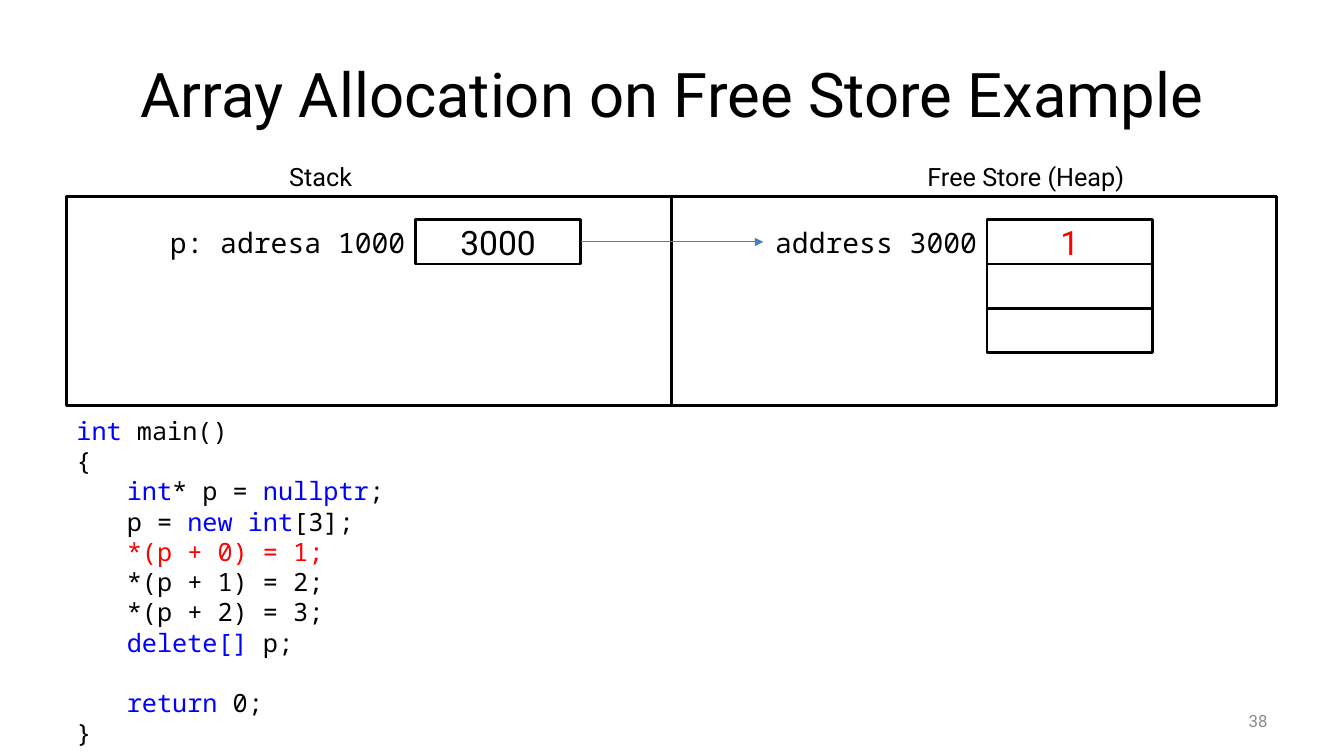
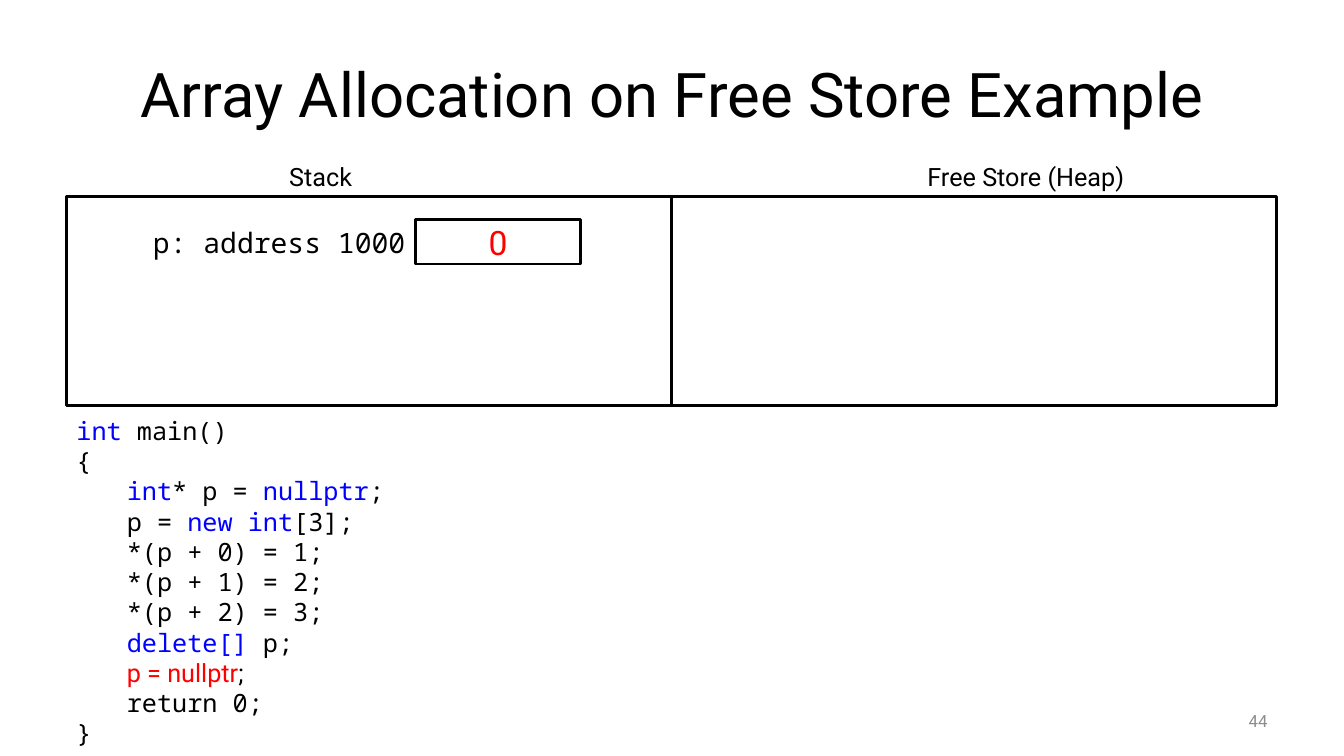
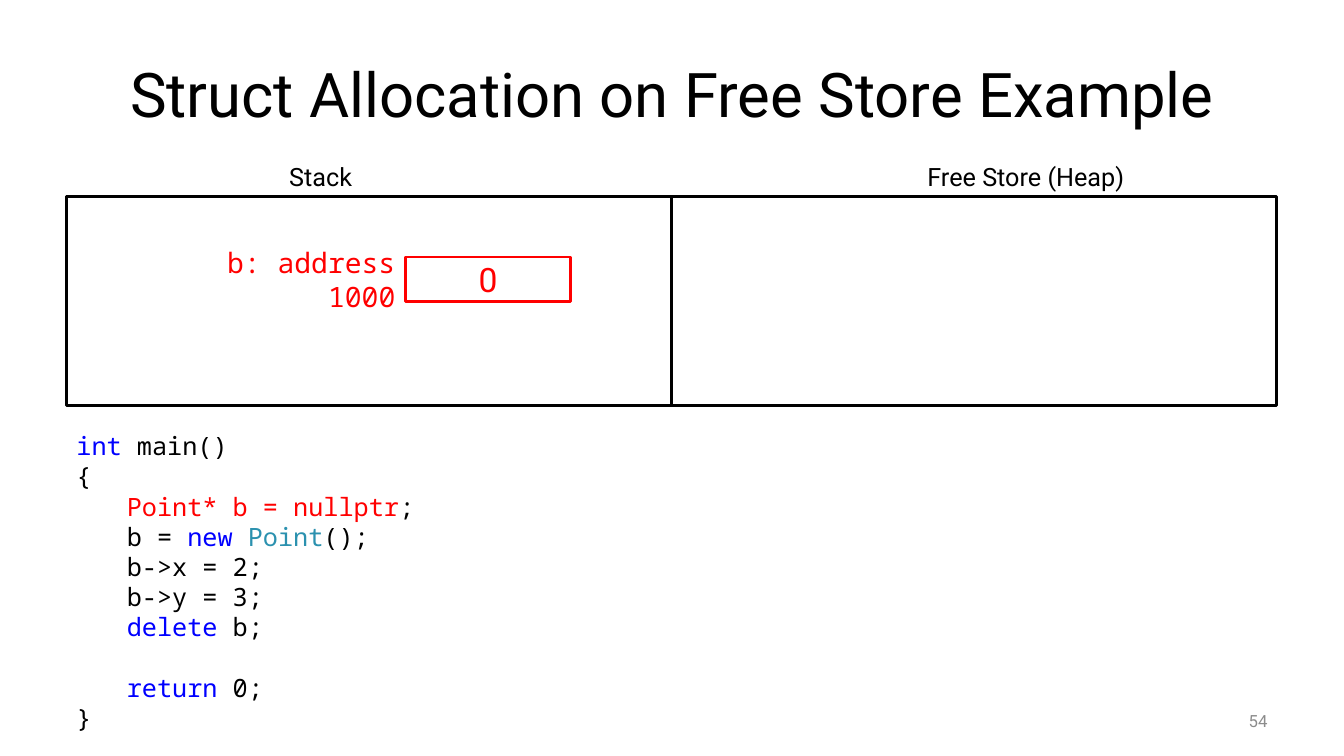
from dataclasses import dataclass
from typing import NamedTuple, Optional

import pptx
import pptx.dml.color
import pptx.enum.dml
import pptx.enum.shapes
import pptx.enum.text
import pptx.oxml.ns
import pptx.slide
import pptx.text.text
import pptx.util
from lxml import etree

Inches = pptx.util.Inches
RGBColor = pptx.dml.color.RGBColor
ALIGN = pptx.enum.text.PP_ALIGN
ANCHOR = pptx.enum.text.MSO_ANCHOR

# Colours and fonts
BLACK = RGBColor(0x00, 0x00, 0x00)
WHITE = RGBColor(0xFF, 0xFF, 0xFF)
GRAY = RGBColor(0x8C, 0x8C, 0x8C)
RED = RGBColor(0xFF, 0x00, 0x00)
KEYWORD = RGBColor(0x00, 0x00, 0xFF)
TYPE = RGBColor(0x2B, 0x91, 0xAF)
ARROW = RGBColor(0x4B, 0x7E, 0xBC)
SANS = "Roboto"
MONO = "Noto Sans Mono"

# Memory diagram grid, in inches
LEFT, TOP, PANEL_W, PANEL_H = 0.66, 1.95, 6, 2.07
CELL_W, CELL_H = 1.64, 0.44
CODE_LINE = 21.6  # points


class Box(NamedTuple):
    x: float
    y: float
    w: float
    h: float


class Run(NamedTuple):
    text: str
    color: RGBColor = BLACK
    font: Optional[str] = None


@dataclass
class Line:
    runs: list[Run]
    indent: float = 0.5
    blank_before: bool = False


@dataclass
class Variable:
    """A labelled memory block: address on the left, cells stacked on the right."""
    label: str
    values: list[str]
    x: float
    y: float
    label_w: float
    value_color: RGBColor = BLACK
    color: RGBColor = BLACK


@dataclass
class MemorySlide:
    title: str
    number: int
    variables: list[Variable]
    code: list[Line]
    code_y: float


def write(tf: pptx.text.text.TextFrame, text: str | list[Line], *,
          size: float = 18, font: str = SANS, color: RGBColor = BLACK,
          align: ALIGN = ALIGN.LEFT, anchor: ANCHOR = ANCHOR.TOP) -> None:
    tf.word_wrap = True
    tf.vertical_anchor = anchor
    lines = [Line([Run(text, color)], 0)] if isinstance(text, str) else text
    for i, line in enumerate(lines):
        p = tf.paragraphs[0] if i == 0 else tf.add_paragraph()
        p.alignment = align
        if line.indent:
            p.level = 1
            pPr = p._p.get_or_add_pPr()
            pPr.set("marL", str(Inches(line.indent)))
            pPr.set("indent", "0")
        if line.blank_before:
            p.space_before = pptx.util.Pt(CODE_LINE)
        for run in line.runs:
            r = p.add_run()
            r.text = run.text
            r.font.size = pptx.util.Pt(size)
            r.font.name = run.font or font
            r.font.color.rgb = run.color


def add_text(s: pptx.slide.Slide, box: Box, text: str | list[Line], **fmt):
    sp = s.shapes.add_textbox(*map(Inches, box))
    write(sp.text_frame, text, **fmt)
    return sp


def add_rect(s: pptx.slide.Slide, box: Box, line: RGBColor = BLACK):
    sp = s.shapes.add_shape(pptx.enum.shapes.MSO_SHAPE.RECTANGLE, *map(Inches, box))
    sp.shadow.inherit = False
    sp.fill.solid()
    sp.fill.fore_color.rgb = WHITE
    sp.line.color.rgb = line
    sp.line.width = pptx.util.Pt(2)
    return sp


def add_arrow(s: pptx.slide.Slide, start, end) -> None:
    """Arrow from the right side of start to the left side of end."""
    c = s.shapes.add_connector(pptx.enum.shapes.MSO_CONNECTOR.STRAIGHT, 0, 0, 0, 0)
    c.begin_connect(start, 3)
    c.end_connect(end, 1)
    c.line.color.rgb = ARROW
    c.line.width = pptx.util.Pt(0.75)
    qn = pptx.oxml.ns.qn
    etree.SubElement(c.line._get_or_add_ln(), qn("a:tailEnd"), type="triangle")
    etree.SubElement(c._element.spPr, qn("a:effectLst"))


def add_variable(s: pptx.slide.Slide, v: Variable):
    """Draw the cells and label; return the first cell and the label."""
    cells = []
    for i, value in enumerate(v.values):
        cell = add_rect(s, Box(v.x, v.y + i * CELL_H, CELL_W, CELL_H), v.color)
        if value:
            write(cell.text_frame, value, size=24, color=v.value_color,
                  align=ALIGN.CENTER, anchor=ANCHOR.MIDDLE)
        cells.append(cell)
    label = add_text(s, Box(v.x - v.label_w, v.y, v.label_w, CELL_H), v.label, size=20,
                     font=MONO, color=v.color, align=ALIGN.RIGHT, anchor=ANCHOR.MIDDLE)
    return cells[0], label


def add_memory_slide(prs, m: MemorySlide) -> None:
    s = prs.slides.add_slide(prs.slide_layouts[6])
    # Title and slide number
    add_text(s, Box(0.67, 0.3, 12, 1.25), m.title, size=44,
             align=ALIGN.CENTER, anchor=ANCHOR.MIDDLE)
    add_text(s, Box(9.56, 6.95, 3.11, 0.4), str(m.number), size=12, color=GRAY,
             align=ALIGN.RIGHT, anchor=ANCHOR.MIDDLE)
    # Memory panels
    for i, (name, x, w) in enumerate([("Stack", 2.77, 1.21),
                                      ("Free Store (Heap)", 9.1, 2.66)]):
        add_rect(s, Box(LEFT + i * PANEL_W, TOP, PANEL_W, PANEL_H))
        add_text(s, Box(x, 1.55, w, 0.4), name)
    # Variables, each pointing to the next
    drawn = [add_variable(s, v) for v in m.variables]
    for (cell, _), (_, label) in zip(drawn, drawn[1:]):
        add_arrow(s, cell, label)
    # Code
    add_text(s, Box(LEFT, m.code_y, 2 * PANEL_W, 7.5 - m.code_y), m.code, font=MONO)


def main_function(body: list[Line]) -> list[Line]:
    return [Line([Run("int ", KEYWORD), Run("main()")], 0), Line([Run("{")], 0),
            *body, Line([Run("}")], 0)]


def array_code(first_write: RGBColor, ending: list[Line]) -> list[Line]:
    return main_function([
        Line([Run("int", KEYWORD), Run("* p = "), Run("nullptr", KEYWORD), Run(";")]),
        Line([Run("p = "), Run("new int", KEYWORD), Run("[3];")]),
        Line([Run("*(p + 0) = 1;", first_write)]),
        Line([Run("*(p + 1) = 2;")]),
        Line([Run("*(p + 2) = 3;")]),
        Line([Run("delete[]", KEYWORD), Run(" p;")]),
        *ending,
    ])


RETURN = Line([Run("return", KEYWORD), Run(" 0;")], blank_before=True)
ARRAY_TITLE = "Array Allocation on Free Store Example"

SLIDES = [
    MemorySlide(
        ARRAY_TITLE, 38,
        [Variable("p: adresa 1000", ["3000"], 4.12, 2.18, 2.58),
         Variable("address 3000", ["1", "", ""], 9.79, 2.18, 2.22, value_color=RED)],
        array_code(RED, [RETURN]), 4.07),
    MemorySlide(
        ARRAY_TITLE, 44,
        [Variable("p: address 1000", ["0"], 4.12, 2.18, 2.95, value_color=RED)],
        array_code(BLACK, [Line([Run("p = nullptr", RED, SANS), Run(";", BLACK, SANS)]),
                           Line([Run("return 0;")])]), 4.07),
    MemorySlide(
        "Struct Allocation on Free Store Example", 54,
        [Variable("b: address 1000", ["0"], 4.02, 2.55, 2.58, value_color=RED, color=RED)],
        main_function([
            Line([Run("Point* b = nullptr", RED), Run(";")]),
            Line([Run("b = "), Run("new ", KEYWORD), Run("Point", TYPE), Run("();")]),
            Line([Run("b->x = 2;")]),
            Line([Run("b->y = 3;")]),
            Line([Run("delete", KEYWORD), Run(" b;")]),
            RETURN,
        ]), 4.22),
]


def main() -> None:
    prs = pptx.Presentation()
    prs.slide_width, prs.slide_height = Inches(13.33), Inches(7.5)
    for m in SLIDES:
        add_memory_slide(prs, m)
    prs.save("out.pptx")


if __name__ == "__main__":
    main()
